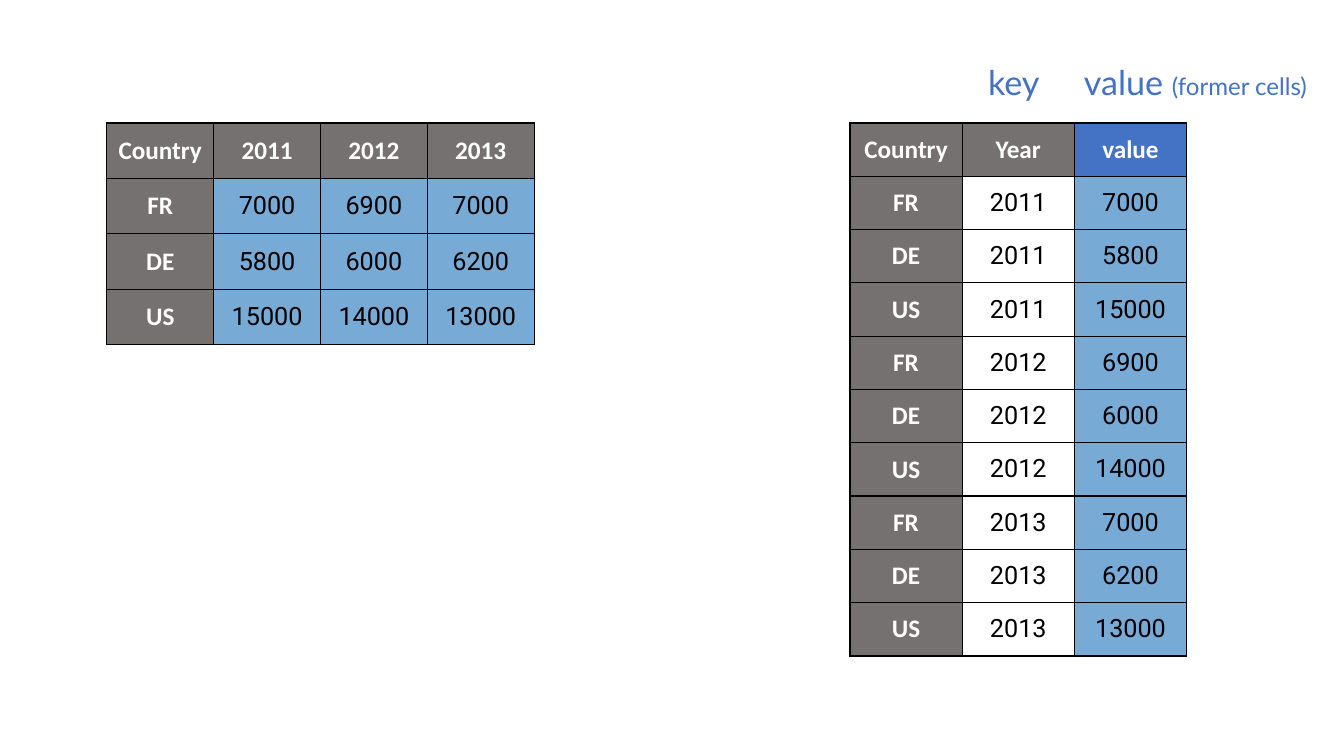
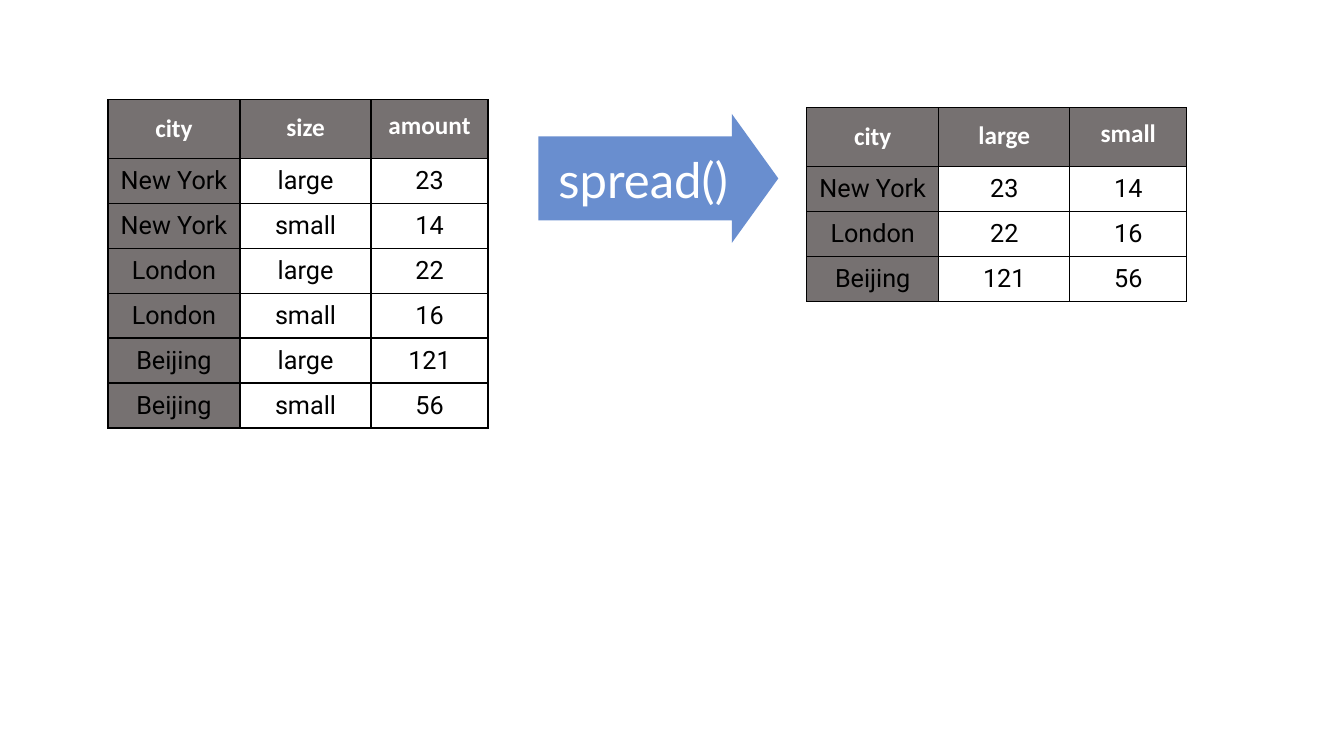
from dataclasses import dataclass
from typing import NamedTuple

import lxml.etree
import pptx
import pptx.dml.color
import pptx.enum.shapes
import pptx.enum.text
import pptx.oxml.ns
import pptx.util

SLIDE_WIDTH = pptx.util.Inches(13.33)
SLIDE_HEIGHT = pptx.util.Inches(7.5)
COLORS = {
    "label": "767171",
    "cell": "78AAD6",
    "accent": "4472C4",
    "white": "FFFFFF",
    "black": "000000",
}
CELL_MARGIN = pptx.util.Inches(0.03)
TEXT_MARGIN = pptx.util.Inches(0.04)
CENTER = pptx.enum.text.PP_ALIGN.CENTER
MIDDLE = pptx.enum.text.MSO_ANCHOR.MIDDLE


class TextStyle(NamedTuple):
    font: str
    size: float
    color: str
    bold: bool = False


class CellStyle(NamedTuple):
    text: TextStyle
    fill: str | None = None


class Box(NamedTuple):
    """Left, top, width and height in percent of the slide's size."""
    left: float
    top: float
    width: float
    height: float


HEADING = TextStyle("Calibri", 18, "white", bold=True)
BODY = TextStyle("Roboto", 18, "black")
CAPTION = TextStyle("Lato", 24.4, "accent")
CAPTION_NOTE = TextStyle("Lato", 17.2, "accent")
ARROW_TEXT = TextStyle("Lato", 35, "white")

LABEL = CellStyle(HEADING, "label")
VALUE_LABEL = CellStyle(HEADING, "accent")
PLAIN_LABEL = CellStyle(BODY, "label")
PLAIN = CellStyle(BODY)
VALUE = CellStyle(BODY, "cell")


@dataclass
class DataTable:
    """A table whose lengths are percent of the slide's size."""
    left: float
    top: float
    column_widths: list[float]
    header_height: float
    row_height: float
    header: list[str]
    rows: list[list[str]]
    header_styles: list[CellStyle]
    column_styles: list[CellStyle]
    header_spacing: tuple[float, ...] = (1, 1, 1, 1)


def across(percent: float) -> int:
    return round(SLIDE_WIDTH * percent / 100)


def down(percent: float) -> int:
    return round(SLIDE_HEIGHT * percent / 100)


def place(box: Box) -> tuple[int, int, int, int]:
    return across(box.left), down(box.top), across(box.width), down(box.height)


def rgb(name: str) -> pptx.dml.color.RGBColor:
    return pptx.dml.color.RGBColor.from_string(COLORS[name])


def add_run(paragraph, text: str, style: TextStyle) -> None:
    run = paragraph.add_run()
    run.text = text
    run.font.name = style.font
    run.font.size = pptx.util.Pt(style.size)
    run.font.bold = style.bold
    run.font.color.rgb = rgb(style.color)


def set_margins(holder, margin: int) -> None:
    holder.margin_left = holder.margin_right = margin
    holder.margin_top = holder.margin_bottom = margin


def add_borders(cell) -> None:
    properties = cell._tc.get_or_add_tcPr()
    qn = pptx.oxml.ns.qn
    for side in ("a:lnL", "a:lnR", "a:lnT", "a:lnB"):
        line = lxml.etree.SubElement(properties, qn(side), w=str(pptx.util.Pt(1)))
        fill = lxml.etree.SubElement(line, qn("a:solidFill"))
        lxml.etree.SubElement(fill, qn("a:srgbClr"), val=COLORS["black"])


def fill_cell(cell, text: str, style: CellStyle, spacing: float) -> None:
    set_margins(cell, CELL_MARGIN)
    cell.vertical_anchor = MIDDLE
    add_borders(cell)
    if style.fill:
        cell.fill.solid()
        cell.fill.fore_color.rgb = rgb(style.fill)
    else:
        cell.fill.background()
    paragraph = cell.text_frame.paragraphs[0]
    paragraph.alignment = CENTER
    if spacing != 1:
        paragraph.line_spacing = spacing
    add_run(paragraph, text, style.text)


def add_data_table(slide, data: DataTable) -> None:
    heights = [data.header_height] + [data.row_height] * len(data.rows)
    box = Box(data.left, data.top, sum(data.column_widths), sum(heights))
    table = slide.shapes.add_table(
        len(heights), len(data.column_widths), *place(box)).table
    table.first_row = table.horz_banding = False
    for column, width in zip(table.columns, data.column_widths):
        column.width = across(width)
    for row, height in zip(table.rows, heights):
        row.height = down(height)
    for row_index, texts in enumerate([data.header] + data.rows):
        is_header = row_index == 0
        styles = data.header_styles if is_header else data.column_styles
        for column_index, text in enumerate(texts):
            spacing = data.header_spacing[column_index] if is_header else 1
            fill_cell(table.cell(row_index, column_index), text,
                      styles[column_index], spacing)


def add_caption(slide, box: Box, runs: list[tuple[str, TextStyle]]) -> None:
    frame = slide.shapes.add_textbox(*place(box)).text_frame
    frame.word_wrap = True
    frame.vertical_anchor = MIDDLE
    set_margins(frame, TEXT_MARGIN)
    for text, style in runs:
        add_run(frame.paragraphs[0], text, style)


def add_labelled_arrow(slide, box: Box, label: str) -> None:
    arrow = slide.shapes.add_shape(
        pptx.enum.shapes.MSO_SHAPE.RIGHT_ARROW, *place(box))
    arrow.adjustments[0], arrow.adjustments[1] = 0.65, 0.36
    arrow.shadow.inherit = False
    arrow.line.fill.background()
    arrow.fill.solid()
    arrow.fill.fore_color.rgb = rgb("accent")
    color = arrow._element.spPr.find(".//" + pptx.oxml.ns.qn("a:srgbClr"))
    lxml.etree.SubElement(color, pptx.oxml.ns.qn("a:alpha"), val="80000")
    frame = arrow.text_frame
    frame.word_wrap = True
    frame.vertical_anchor = MIDDLE
    set_margins(frame, TEXT_MARGIN)
    frame.paragraphs[0].alignment = CENTER
    add_run(frame.paragraphs[0], label, ARROW_TEXT)


def build_key_value_slide(slide) -> None:
    years = ["2011", "2012", "2013"]
    country_rows = [
        ["FR", "7000", "6900", "7000"],
        ["DE", "5800", "6000", "6200"],
        ["US", "15000", "14000", "13000"],
    ]
    key_value_rows = [[row[0], year, row[index]]
                      for index, year in enumerate(years, start=1)
                      for row in country_rows]
    add_data_table(slide, DataTable(
        7.95, 16.27, [7.95] * 4, 7.33, 7.33, ["Country"] + years, country_rows,
        [LABEL] * 4, [LABEL] + [VALUE] * 3))
    add_data_table(slide, DataTable(
        63.24, 16.27, [8.35] * 3, 7.05, 7.05, ["Country", "Year", "value"],
        key_value_rows, [LABEL, LABEL, VALUE_LABEL], [LABEL, PLAIN, VALUE]))
    add_caption(slide, Box(73.22, 7.47, 7.1, 6.67), [("key", CAPTION)])
    add_caption(slide, Box(80.35, 7.47, 19.5, 6.67),
                [("value ", CAPTION), ("(former cells)", CAPTION_NOTE)])


def build_spread_slide(slide) -> None:
    sizes = ["large", "small"]
    city_rows = [
        ["New York", "23", "14"],
        ["London", "22", "16"],
        ["Beijing", "121", "56"],
    ]
    city_size_rows = [[city, size, amount] for city, *amounts in city_rows
                      for size, amount in zip(sizes, amounts)]
    for left, top, header, rows in (
            (8.03, 13.2, ["city", "size", "amount"], city_size_rows),
            (60.02, 14.27, ["city"] + sizes, city_rows)):
        add_data_table(slide, DataTable(
            left, top, [9.83, 9.75, 8.7], 7.73, 5.95, header, rows,
            [LABEL] * 3, [PLAIN_LABEL, PLAIN, PLAIN], (1, 0.8, 0.6)))
    add_labelled_arrow(slide, Box(40.06, 15.07, 17.85, 17.07), "spread()")


def main() -> None:
    deck = pptx.Presentation()
    deck.slide_width, deck.slide_height = SLIDE_WIDTH, SLIDE_HEIGHT
    for build in (build_key_value_slide, build_spread_slide):
        build(deck.slides.add_slide(deck.slide_layouts[6]))
    deck.save("out.pptx")


if __name__ == "__main__":
    main()
